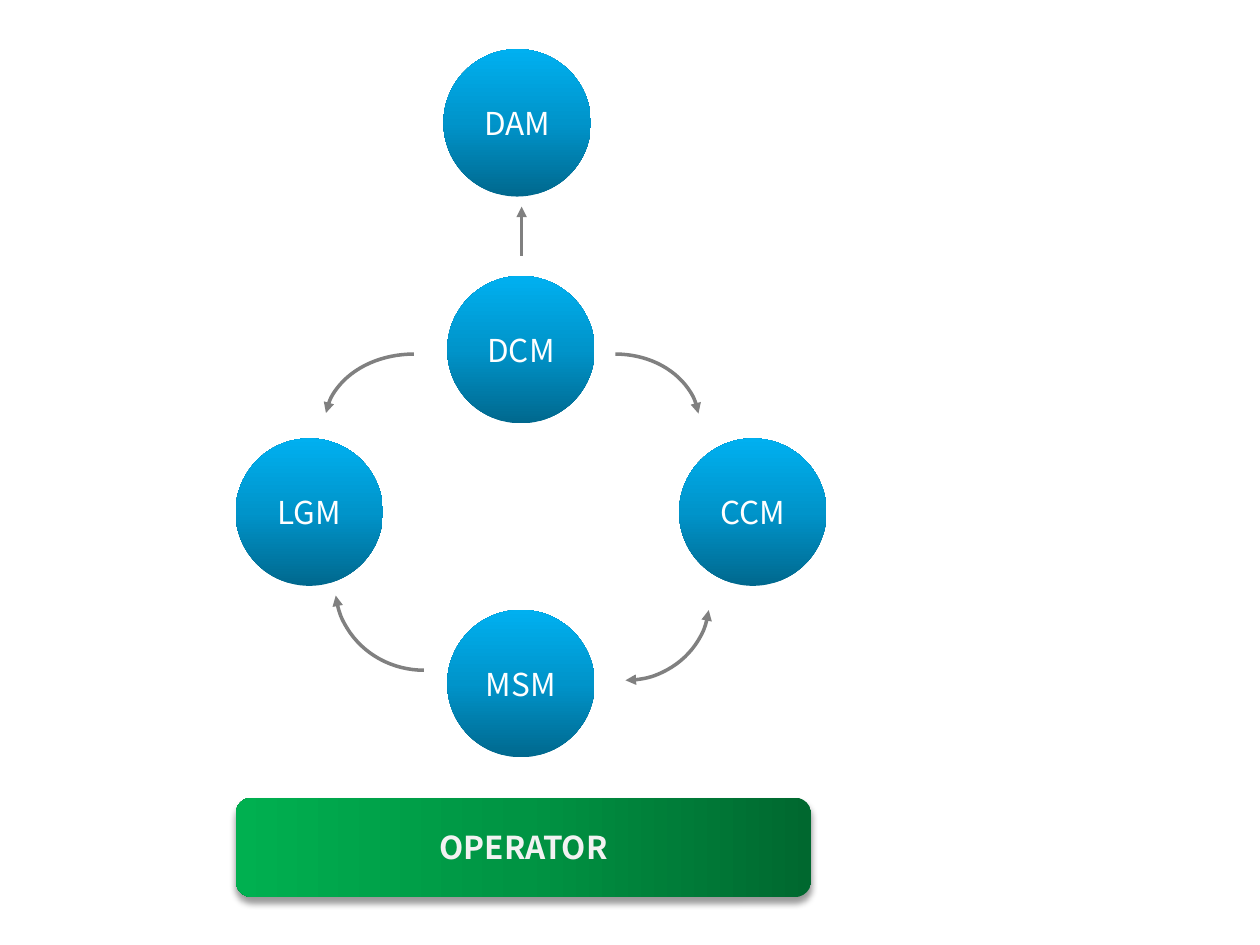
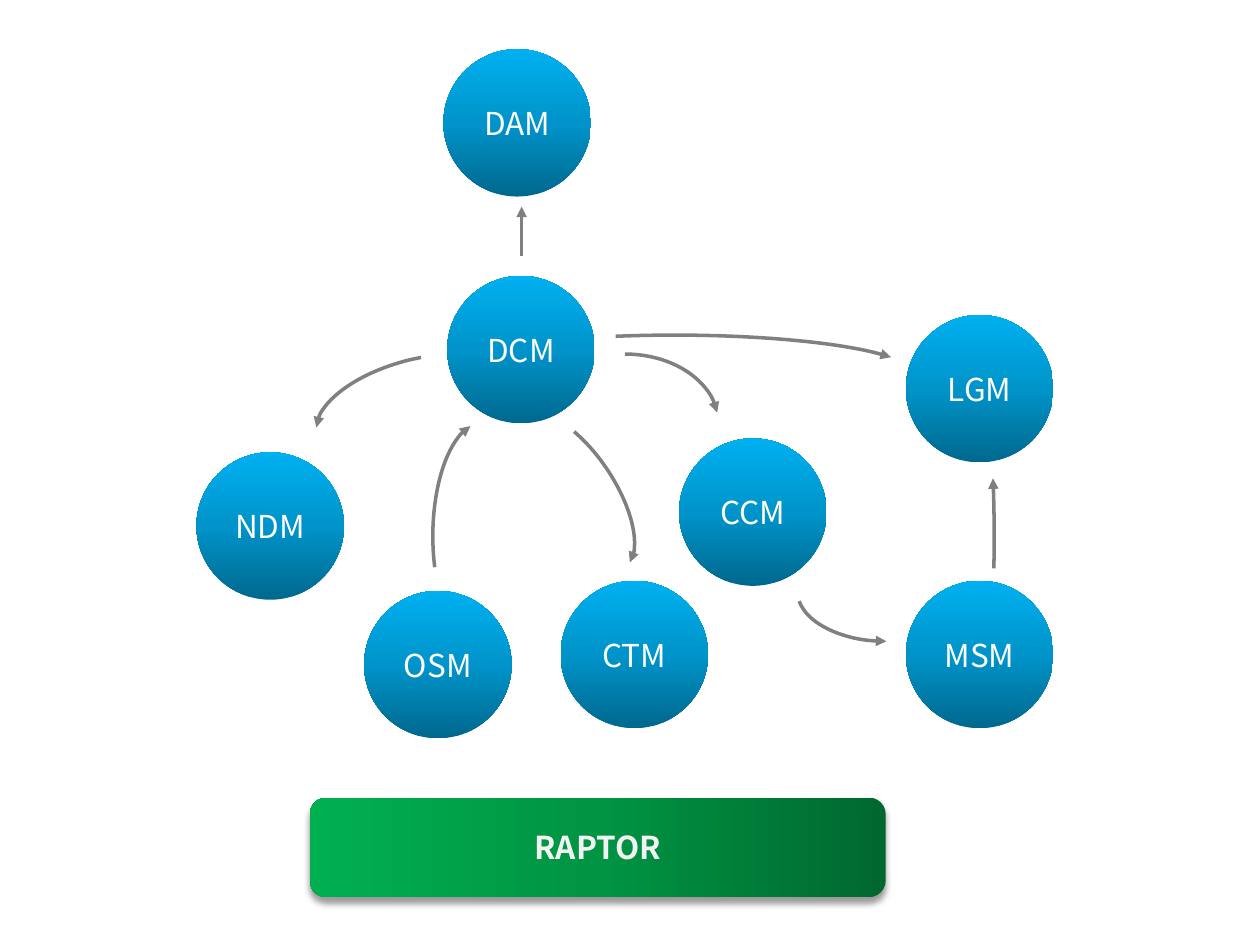
from dataclasses import dataclass

from lxml import etree
from pptx import Presentation
from pptx.dml.color import RGBColor
from pptx.enum.shapes import MSO_CONNECTOR, MSO_SHAPE
from pptx.enum.text import MSO_ANCHOR, PP_ALIGN
from pptx.oxml.ns import qn
from pptx.util import Pt

ELLIPSE = MSO_SHAPE.OVAL
ARC = MSO_SHAPE.ARC
ROUNDED = MSO_SHAPE.ROUNDED_RECTANGLE
STRAIGHT = MSO_CONNECTOR.STRAIGHT
CENTER = PP_ALIGN.CENTER
MIDDLE = MSO_ANCHOR.MIDDLE
BLANK_LAYOUT = 6


@dataclass(frozen=True)
class Theme:
    font: str = "Noto Sans CJK KR"
    text_size: int = 18
    line_width: int = 2
    arrow: str = "808080"
    node_text: str = "FFFFFF"
    bar_text: str = "F2F2F2"
    node_stops: tuple = ("00688E", "0094CA", "00B0F0")
    bar_stops: tuple = ("00682F", "009443", "00B050")


THEME = Theme()

# Sizes and arc angles shared by both diagrams
NODE_SIZE = 84.24
BAR_TOP, BAR_WIDTH, BAR_HEIGHT = 455.76, 329.04, 56.88
QUARTER = (270, 353.68)
LONG_SWEEP = (213.11, 355.36)

# Node positions: label -> left, top
SHARED_NODES = {
    "DAM": (253.44, 28.08),
    "DCM": (255.6, 157.68),
    "CCM": (388.08, 250.56),
}
OPERATOR_NODES = {"MSM": (255.6, 348.48), "LGM": (134.64, 250.56)}
RAPTOR_NODES = {
    "MSM": (517.68, 331.92),
    "LGM": (517.68, 180),
    "CTM": (320.4, 331.92),
    "NDM": (112.32, 258.48),
    "OSM": (208.08, 337.68),
}

# Curved arrows: frame, start and end angle in degrees, then options
OPERATOR_ARROWS = [
    ((303.84, 202.32, 95.76, 78.48), QUARTER, {}),                        # DCM to CCM
    ((309.6, 298.08, 95.76, 90.72), QUARTER,
     {"flip": "v", "ends": ("head", "tail")}),                            # MSM and CCM
    ((185.76, 202.32, 101.52, 78.48), QUARTER, {"flip": "h"}),            # DCM to LGM
    ((191.52, 286.56, 101.52, 96.48), QUARTER, {"flip": "hv"}),           # MSM to LGM
]
RAPTOR_ARROWS = [
    ((303.84, 202.32, 106.56, 78.48), QUARTER, {}),                       # DCM to CCM
    ((179.28, 205.2, 120.24, 56.16), (253.35, 356.22),
     {"flip": "h", "rotation": 345.6}),                                   # DCM to NDM
    ((455.76, 309.6, 101.52, 56.88), QUARTER,
     {"flip": "hv", "ends": ("head",)}),                                  # CCM to MSM
    ((247.68, 191.52, 275.76, 45.36), LONG_SWEEP, {}),                    # DCM to LGM
    ((407.52, 284.4, 275.76, 45.36), (213.11, 308.35),
     {"rotation": 90, "ends": ("head",)}),                                # MSM to LGM
    ((210.96, 277.92, 129.6, 56.88), (236.98, 353.68),
     {"flip": "hv", "rotation": 90}),                                     # OSM to DCM
    ((276.48, 258.48, 103.68, 45.36), LONG_SWEEP, {"rotation": 56.5}),    # DCM to CTM
]


def fill_gradient(shape, stops, angle):
    """Fill with evenly spaced stops; the angle runs counter-clockwise."""
    shape.fill.gradient()
    shape.fill.gradient_angle = angle
    stop_list = shape._element.spPr.find(qn("a:gradFill")).find(qn("a:gsLst"))
    for old_stop in list(stop_list):
        stop_list.remove(old_stop)
    step = 100000 // (len(stops) - 1)
    for index, color in enumerate(stops):
        stop = etree.SubElement(stop_list, qn("a:gs"), pos=str(index * step))
        etree.SubElement(stop, qn("a:srgbClr"), val=color)


def add_labelled_shape(slide, kind, frame, label, color, stops, angle):
    shape = slide.shapes.add_shape(kind, *map(Pt, frame))
    shape.shadow.inherit = False
    shape.line.fill.background()
    fill_gradient(shape, stops, angle)
    shape.text_frame.vertical_anchor = MIDDLE
    paragraph = shape.text_frame.paragraphs[0]
    paragraph.text = label
    paragraph.alignment = CENTER
    paragraph.font.name = THEME.font
    paragraph.font.size = Pt(THEME.text_size)
    paragraph.font.color.rgb = RGBColor.from_string(color)
    return shape


def add_nodes(slide, nodes):
    for label, (left, top) in nodes.items():
        add_labelled_shape(slide, ELLIPSE, (left, top, NODE_SIZE, NODE_SIZE),
                           label, THEME.node_text, THEME.node_stops, 90)


def add_bar(slide, label, left):
    bar = add_labelled_shape(slide, ROUNDED, (left, BAR_TOP, BAR_WIDTH, BAR_HEIGHT),
                             label, THEME.bar_text, THEME.bar_stops, 180)
    bar.text_frame.word_wrap = False
    bar.text_frame.paragraphs[0].font.bold = True
    # Soft shadow straight below the bar
    effects = bar._element.spPr.find(qn("a:effectLst"))
    shadow = etree.SubElement(effects, qn("a:outerShdw"), blurRad=str(Pt(4)),
                              dist=str(Pt(3)), dir="5400000", rotWithShape="0")
    black = etree.SubElement(shadow, qn("a:srgbClr"), val="000000")
    etree.SubElement(black, qn("a:alpha"), val="40000")


def style_arrow(line, ends):
    line.color.rgb = RGBColor.from_string(THEME.arrow)
    line.width = Pt(THEME.line_width)
    outline = line._get_or_add_ln()
    for end in ends:
        etree.SubElement(outline, qn(f"a:{end}End"), type="triangle")


def add_curved_arrow(slide, frame, angles, flip="", rotation=0, ends=("tail",)):
    arrow = slide.shapes.add_shape(ARC, *map(Pt, frame))
    arrow.shadow.inherit = False
    arrow.fill.background()
    arrow.rotation = rotation
    for index, degrees in enumerate(angles):
        arrow.adjustments[index] = degrees * 0.6  # 60000 units to a degree
    for axis in flip:
        arrow._element.spPr.xfrm.set(f"flip{axis.upper()}", "1")
    style_arrow(arrow.line, ends)


def add_straight_arrow(slide, start, end):
    arrow = slide.shapes.add_connector(STRAIGHT, *map(Pt, start + end))
    style_arrow(arrow.line, ("tail",))
    etree.SubElement(arrow._element.spPr, qn("a:effectLst"))


def add_diagram(deck, nodes, arrows, bar_label, bar_left):
    slide = deck.slides.add_slide(deck.slide_layouts[BLANK_LAYOUT])
    add_nodes(slide, SHARED_NODES | nodes)
    add_straight_arrow(slide, (298.08, 146.16), (298.08, 118.08))  # DCM to DAM
    for frame, angles, options in arrows:
        add_curved_arrow(slide, frame, angles, **options)
    add_bar(slide, bar_label, bar_left)


def main():
    deck = Presentation()
    deck.slide_width, deck.slide_height = Pt(720), Pt(540)
    add_diagram(deck, OPERATOR_NODES, OPERATOR_ARROWS, "OPERATOR", 134.64)
    add_diagram(deck, RAPTOR_NODES, RAPTOR_ARROWS, "RAPTOR", 177.12)
    deck.save("out.pptx")


main()
